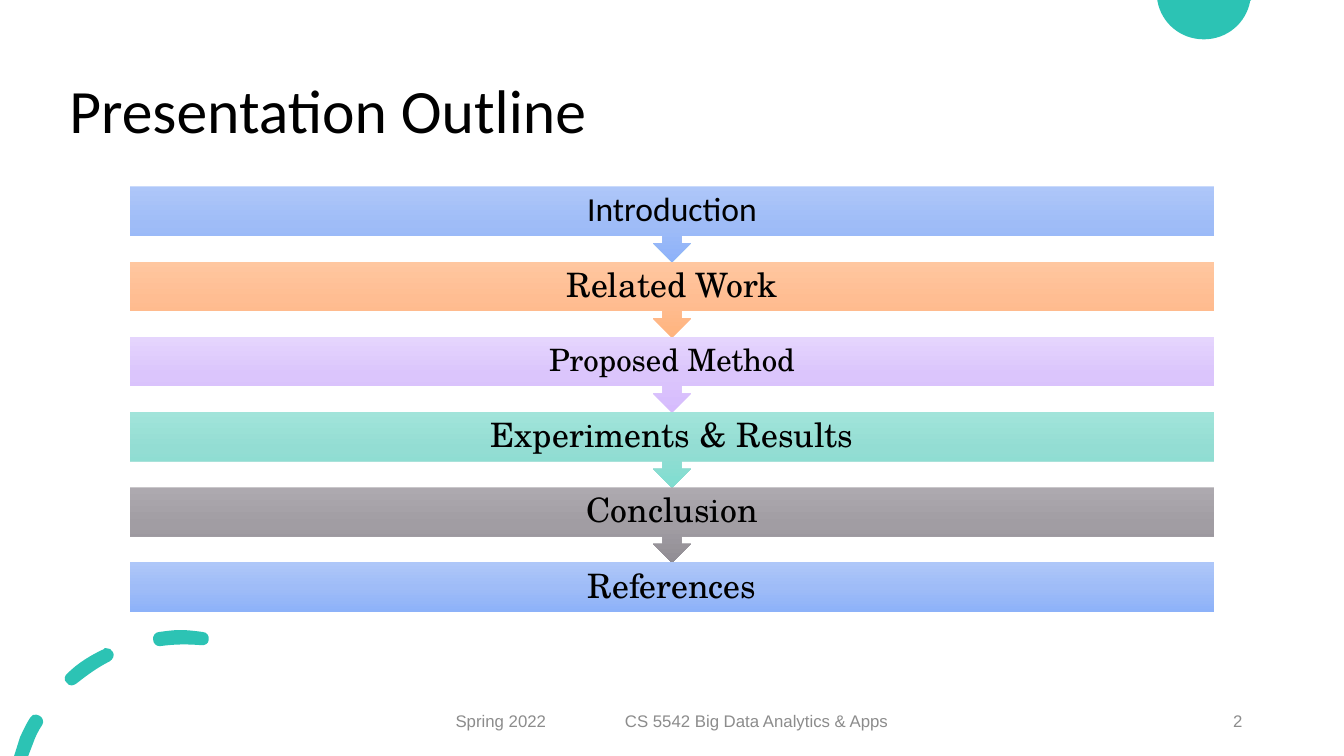
from copy import deepcopy
from pptx import Presentation
from pptx.dml.color import RGBColor
from pptx.enum.shapes import MSO_SHAPE
from pptx.enum.text import MSO_ANCHOR, PP_ALIGN
from pptx.oxml.ns import qn
from pptx.util import Inches, Pt
from lxml import etree

# Content
TITLE = "Presentation Outline"
FOOTER = "Spring 2022\tCS 5542 Big Data Analytics & Apps"
PAGE = "2"
TEAL, GRAY, BLACK = "2CC3B4", "8C8C8C", "000000"
SERIF, SANS = "TeX Gyre Schola", "Calibri"
BLUE = ("AEC7F9", "9FBCF7", "8DB2F9")
STEPS = [  # label, gradient, font, size
    ("Introduction", BLUE, SANS, 24),
    ("Related Work", ("FFC7A0", "FFBD92", "FFB47E"), SERIF, 24),
    ("Proposed Method", ("E5D5FD", "DBC5FC", "D6BBFD"), SERIF, 22),
    ("Experiments & Results", ("A1E4DA", "93DDD3", "7FDDD0"), SERIF, 24),
    ("Conclusion", ("ADA9AF", "A19DA3", "918D94"), SERIF, 24),
    ("References", BLUE, SERIF, 24),
]

# Outlines in inches: first point, then lines (x, y) or curves (two controls, end)
CIRCLE = [[(11.48, 0), (12.41, 0), (12.4, 0.01),
           (12.36, 0.23, 12.17, 0.39, 11.94, 0.39),
           (11.71, 0.39, 11.52, 0.23, 11.48, 0.01)]]
DASHES = [
    [(0.36, 7.09), (0.34, 7.08, 0.31, 7.1, 0.3, 7.12),
     (0.26, 7.18, 0.23, 7.25, 0.2, 7.31), (0.14, 7.5), (0.28, 7.5), (0.33, 7.37),
     (0.35, 7.31, 0.38, 7.25, 0.42, 7.19), (0.44, 7.16, 0.42, 7.11, 0.39, 7.1),
     (0.38, 7.09, 0.37, 7.09, 0.36, 7.09)],
    [(1.05, 6.43), (1.04, 6.43, 1.03, 6.43, 1.03, 6.44),
     (0.9, 6.5, 0.77, 6.58, 0.67, 6.68), (0.64, 6.7, 0.63, 6.75, 0.66, 6.77),
     (0.67, 6.79, 0.69, 6.8, 0.71, 6.8), (0.71, 6.8),
     (0.73, 6.8, 0.74, 6.79, 0.76, 6.78),
     (0.86, 6.7, 0.97, 6.62, 1.09, 6.56), (1.12, 6.54, 1.14, 6.5, 1.12, 6.47),
     (1.11, 6.44, 1.08, 6.43, 1.05, 6.43)],
    [(1.79, 6.25), (1.72, 6.25, 1.65, 6.26, 1.58, 6.27),
     (1.54, 6.27, 1.51, 6.31, 1.52, 6.35), (1.52, 6.38, 1.55, 6.41, 1.58, 6.41),
     (1.59, 6.41, 1.59, 6.41, 1.59, 6.41),
     (1.73, 6.39, 1.86, 6.39, 1.99, 6.4), (2.03, 6.41, 2.07, 6.38, 2.07, 6.35),
     (2.08, 6.31, 2.05, 6.27, 2.01, 6.27), (2.01, 6.27, 2.01, 6.27, 2.01, 6.27),
     (1.94, 6.26, 1.86, 6.25, 1.79, 6.25)],
]

# Layout
LEFT, TOP, WIDTH = 1.29, 1.85, 10.75
PITCH, CALLOUT, BAR = 0.746, 0.75, 0.49

prs = Presentation()
prs.slide_width, prs.slide_height = Inches(13.33), Inches(7.5)
s = prs.slides.add_slide(prs.slide_layouts[6])


def rgb(color):
    return RGBColor.from_string(color)


def write(sp, text, font="Arial", size=12, color=GRAY, align=PP_ALIGN.LEFT,
          spacing=1.0, inset=0.1):
    tf = sp.text_frame
    tf.word_wrap = True
    tf.vertical_anchor = MSO_ANCHOR.MIDDLE
    tf.margin_left = tf.margin_right = Inches(inset)
    tf.margin_top = tf.margin_bottom = Inches(inset / 2)
    p = tf.paragraphs[0]
    p.alignment, p.line_spacing = align, spacing
    r = p.add_run()
    r.text = text
    r.font.name, r.font.size = font, Pt(size)
    r.font.color.rgb = rgb(color)
    return p


def text_box(box, text, **fmt):
    return write(s.shapes.add_textbox(*map(Inches, box)), text, **fmt)


def ornament(outlines):
    """Draw every point as a line end, then merge triples into cubic curves."""
    fb = None
    for outline in outlines:
        points = [(Inches(seg[i]), Inches(seg[i + 1]))
                  for seg in outline for i in range(0, len(seg), 2)]
        if fb is None:
            fb = s.shapes.build_freeform(*points[0])
        else:
            fb.move_to(*points[0])
        fb.add_line_segments(points[1:], close=True)
    sp = fb.convert_to_shape()
    lines = iter(list(sp._element.iter(qn("a:lnTo"))))
    for seg in (seg for outline in outlines for seg in outline[1:]):
        group = [next(lines) for _ in range(len(seg) // 2)]
        if len(group) == 3:
            curve = etree.Element(qn("a:cubicBezTo"))
            group[0].addprevious(curve)
            for line in group:
                curve.append(line[0])
                line.getparent().remove(line)
    sp.shadow.inherit = False
    sp.fill.solid()
    sp.fill.fore_color.rgb = rgb(TEAL)
    sp.line.fill.background()


def shade(sp, colors):
    """Vertical gradient, first colour on top."""
    sp.fill.gradient()
    sp.fill.gradient_angle = 270
    gs_list = sp.fill._fill._gradFill.find(qn("a:gsLst"))
    gs_list.insert(1, deepcopy(gs_list[0]))
    for i, (stop, color) in enumerate(zip(sp.fill.gradient_stops, colors)):
        stop.position = i / 2
        stop.color.rgb = rgb(color)


# Corner ornaments
ornament(CIRCLE)
ornament(DASHES)

# Title
text_box((0.59, 0.4, 11.5, 1.45), TITLE, font=SANS, size=44, color=BLACK, spacing=0.9)

# Outline steps: callouts pointing down, the last a plain bar
for i, (label, colors, font, size) in enumerate(STEPS):
    last = i == len(STEPS) - 1
    kind = MSO_SHAPE.RECTANGLE if last else MSO_SHAPE.DOWN_ARROW_CALLOUT
    sp = s.shapes.add_shape(kind, Inches(LEFT), Inches(TOP + i * PITCH),
                            Inches(WIDTH), Inches(BAR if last else CALLOUT))
    sp.shadow.inherit = False
    sp.line.fill.background()
    shade(sp, colors)
    write(sp, label, font=font, size=size, color=BLACK, align=PP_ALIGN.CENTER,
          spacing=0.9, inset=0)

# Footer with a tab stop between term and course, then the page number
p = text_box((4.42, 6.95, 4.5, 0.4), FOOTER)
tabs = etree.SubElement(p._p.get_or_add_pPr(), qn("a:tabLst"))
etree.SubElement(tabs, qn("a:tab"), pos=str(Inches(1.68)), algn="l")
text_box((9.42, 6.95, 3, 0.4), PAGE, align=PP_ALIGN.RIGHT)

prs.save("out.pptx")
